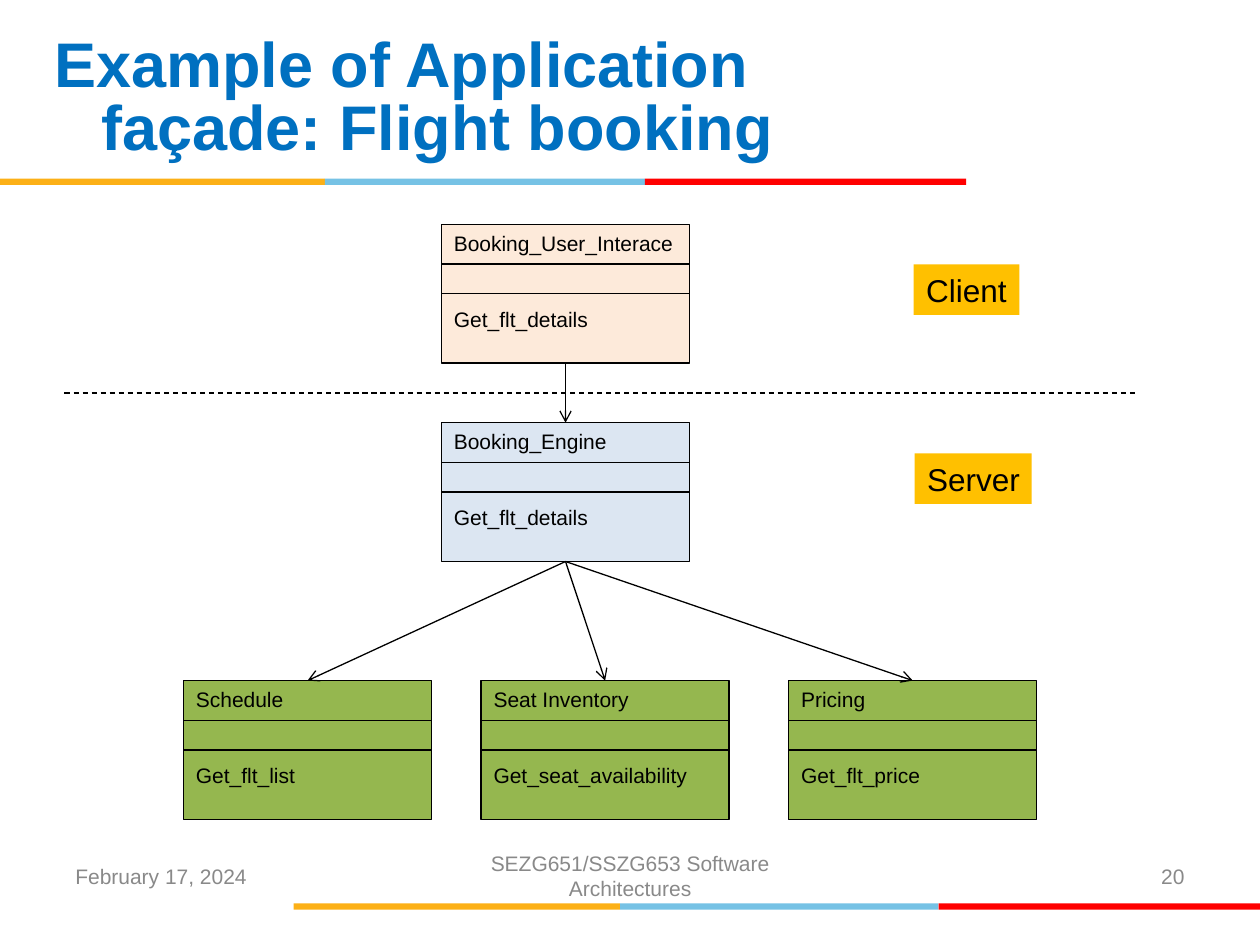
from dataclasses import dataclass

import pptx
import pptx.util
import pptx.dml.color
import pptx.enum.dml
import pptx.enum.shapes
import pptx.enum.text
import pptx.oxml
import pptx.oxml.ns
from pptx.shapes.autoshape import Shape
from pptx.shapes.connector import Connector
from pptx.slide import Slide
from pptx.text.text import TextFrame

Cm = pptx.util.Cm
Pt = pptx.util.Pt
ALIGN = pptx.enum.text.PP_ALIGN
ANCHOR = pptx.enum.text.MSO_ANCHOR

BLACK = "000000"
GREY = "898989"
GREEN = "95B74F"
STRIPE_COLORS = ("FCB017", "76C2E5", "FF0000")
STRIPE_HEIGHT = 0.13
CLASS_WIDTH, CLASS_HEIGHT = 5.0, 2.8
DIVIDER_OFFSETS = (0.8, 1.4)


@dataclass
class ClassBox:
    name: str
    operation: str
    left: float
    top: float
    fill: str


@dataclass
class TierLabel:
    text: str
    left: float
    top: float
    width: float


@dataclass
class FooterItem:
    text: str
    left: float
    width: float
    alignment: ALIGN


INTERFACE = ClassBox("Booking_User_Interace", "Get_flt_details", 8.9, 4.52, "FDEADA")
ENGINE = ClassBox("Booking_Engine", "Get_flt_details", 8.9, 8.52, "DCE6F2")
SERVICES = [
    ClassBox("Schedule", "Get_flt_list", 3.7, 13.72, GREEN),
    ClassBox("Seat Inventory", "Get_seat_availability", 9.7, 13.72, GREEN),
    ClassBox("Pricing", "Get_flt_price", 15.9, 13.72, GREEN),
]
TIERS = [
    TierLabel("Client", 18.42, 5.33, 2.13),
    TierLabel("Server", 18.44, 9.14, 2.36),
]
FOOTER = [
    FooterItem("February 17, 2024", 1.27, 5.93, ALIGN.LEFT),
    FooterItem("SEZG651/SSZG653 Software Architectures", 8.68, 8.05, ALIGN.CENTER),
    FooterItem("20", 18.2, 5.93, ALIGN.RIGHT),
]


def rgb(value: str) -> pptx.dml.color.RGBColor:
    return pptx.dml.color.RGBColor.from_string(value)


def add_rectangle(slide: Slide, left: float, top: float, width: float,
                  height: float, fill: str) -> Shape:
    shape = slide.shapes.add_shape(
        pptx.enum.shapes.MSO_SHAPE.RECTANGLE, Cm(left), Cm(top), Cm(width), Cm(height))
    shape.shadow.inherit = False
    shape.fill.solid()
    shape.fill.fore_color.rgb = rgb(fill)
    shape.line.fill.background()
    return shape


def write_lines(frame: TextFrame, lines: list[str], size: float, color: str,
                alignment: ALIGN = ALIGN.LEFT, bold: bool = False) -> None:
    for index, line in enumerate(lines):
        paragraph = frame.paragraphs[0] if index == 0 else frame.add_paragraph()
        paragraph.alignment = alignment
        run = paragraph.add_run()
        run.text = line
        run.font.name = "Arial"
        run.font.size = Pt(size)
        run.font.bold = bold
        run.font.color.rgb = rgb(color)


def add_line(slide: Slide, left: float = 0, top: float = 0, right: float = 0) -> Connector:
    line = slide.shapes.add_connector(
        pptx.enum.shapes.MSO_CONNECTOR.STRAIGHT, Cm(left), Cm(top), Cm(right), Cm(top))
    line.line.color.rgb = rgb(BLACK)
    line.line.width = Pt(0.75)
    line._element.spPr.append(pptx.oxml.parse_xml(
        f"<a:effectLst {pptx.oxml.ns.nsdecls('a')}/>"))
    return line


def add_arrow(slide: Slide, source: Shape, target: Shape) -> None:
    """Join the bottom of source to the top of target."""
    arrow = add_line(slide)
    arrow.begin_connect(source, 2)
    arrow.end_connect(target, 0)
    arrow.line._get_or_add_ln().append(pptx.oxml.parse_xml(
        f"<a:tailEnd {pptx.oxml.ns.nsdecls('a')} type=\"arrow\"/>"))


def add_class(slide: Slide, box: ClassBox) -> Shape:
    shape = add_rectangle(slide, box.left, box.top, CLASS_WIDTH, CLASS_HEIGHT, box.fill)
    shape.line.color.rgb = rgb(BLACK)
    shape.line.width = Pt(0.75)
    frame = shape.text_frame
    frame.vertical_anchor = ANCHOR.TOP
    write_lines(frame, [box.name, box.operation], 12, BLACK)
    frame.paragraphs[1].space_before = Pt(29)
    for offset in DIVIDER_OFFSETS:
        add_line(slide, box.left, box.top + offset, box.left + CLASS_WIDTH)
    return shape


def add_stripe(slide: Slide, edges: tuple[float, ...], top: float) -> None:
    for left, right, color in zip(edges, edges[1:], STRIPE_COLORS):
        add_rectangle(slide, left, top, right - left, STRIPE_HEIGHT, color)


def add_tier(slide: Slide, tier: TierLabel) -> None:
    shape = add_rectangle(slide, tier.left, tier.top, tier.width, 1.02, "FFC000")
    shape.text_frame.word_wrap = False
    shape.text_frame.vertical_anchor = ANCHOR.TOP
    write_lines(shape.text_frame, [tier.text], 18, BLACK)


def add_footer(slide: Slide, item: FooterItem) -> None:
    box = slide.shapes.add_textbox(Cm(item.left), Cm(17.15), Cm(item.width), Cm(1.02))
    box.text_frame.word_wrap = True
    box.text_frame.vertical_anchor = ANCHOR.MIDDLE
    write_lines(box.text_frame, [item.text], 12, GREY, item.alignment)


def format_title(slide: Slide, text: str) -> None:
    title = slide.shapes.title
    title.left, title.top, title.width, title.height = Cm(0.84), Cm(0.43), Cm(17.58), Cm(3.18)
    frame = title.text_frame
    frame.auto_size = pptx.enum.text.MSO_AUTO_SIZE.NONE
    frame.vertical_anchor = ANCHOR.MIDDLE
    write_lines(frame, [text], 36, "0070C0", bold=True)
    paragraph = frame.paragraphs[0]
    paragraph.line_spacing = Pt(36)
    properties = paragraph._p.get_or_add_pPr()
    properties.set("marL", str(Cm(0.95)))
    properties.set("indent", str(-Cm(0.95)))


def main() -> None:
    presentation = pptx.Presentation()
    presentation.slide_width, presentation.slide_height = Cm(25.4), Cm(19.05)
    slide = presentation.slides.add_slide(presentation.slide_layouts[5])

    add_stripe(slide, (5.92, 12.5, 18.92, 25.4), 18.21)
    add_stripe(slide, (0, 6.55, 13.0, 19.48), 3.6)
    format_title(slide, "Example of Application façade: Flight booking")

    interface = add_class(slide, INTERFACE)
    engine = add_class(slide, ENGINE)
    add_arrow(slide, interface, engine)
    for service in SERVICES:
        add_arrow(slide, engine, add_class(slide, service))

    boundary = add_line(slide, 1.3, 7.92, 22.9)
    boundary.line.dash_style = pptx.enum.dml.MSO_LINE.DASH
    for tier in TIERS:
        add_tier(slide, tier)
    for item in FOOTER:
        add_footer(slide, item)
    presentation.save("out.pptx")


if __name__ == "__main__":
    main()
